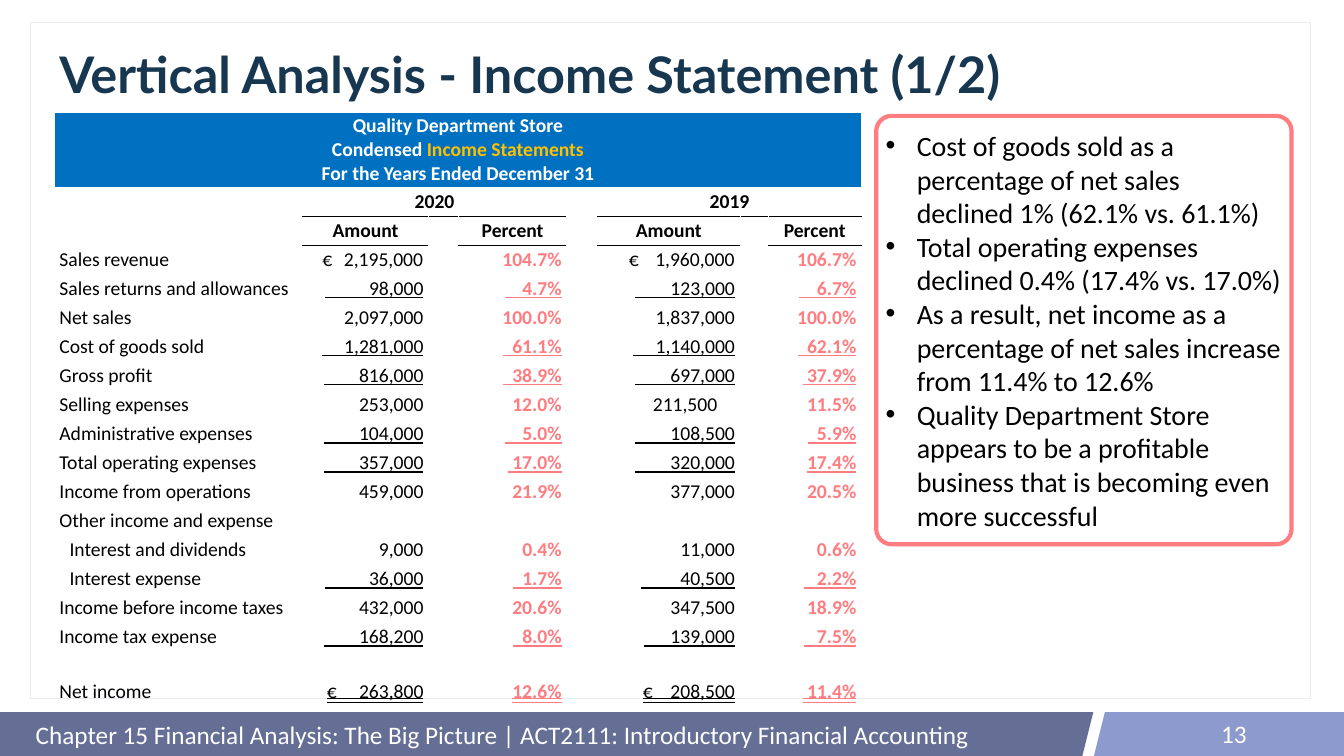
from pptx import Presentation
from pptx.dml.color import RGBColor
from pptx.enum.shapes import MSO_SHAPE
from pptx.enum.text import MSO_ANCHOR, MSO_AUTO_SIZE, MSO_UNDERLINE, PP_ALIGN
from pptx.oxml.ns import qn
from pptx.util import Cm, Pt
from lxml.etree import SubElement

INK = {"white": "FFFFFF", "black": "000000", "navy": "17364F", "blue": "0070C0",
       "gold": "FFC000", "coral": "FF7C80", "slate": "656E95", "lilac": "8D9ACE",
       "pale": "E8EBF5"}
LEFT, MID, RIGHT = PP_ALIGN.LEFT, PP_ALIGN.CENTER, PP_ALIGN.RIGHT
ONE, TWO = MSO_UNDERLINE.SINGLE_LINE, MSO_UNDERLINE.DOUBLE_LINE

# Label, 2020 amount and percent, 2019 amount and percent, underline.
# Leading spaces in underlined figures set the length of the rule.
ROWS = [
    ("Sales revenue", "€\t2,195,000", "104.7%", "€\t1,960,000", "106.7%", None),
    ("Sales returns and allowances", "          98,000", "    4.7%",
     "        123,000", "    6.7%", ONE),
    ("Net sales", "2,097,000", "100.0%", "1,837,000", "100.0%", None),
    ("Cost of goods sold", "     1,281,000", "  61.1%",
     "     1,140,000", "  62.1%", ONE),
    ("Gross profit", "        816,000", "  38.9%", "        697,000", " 37.9%", ONE),
    ("Selling expenses", "253,000", "12.0%", "211,500", "11.5%", None),
    ("Administrative expenses", "        104,000", "    5.0%",
     "        108,500", "  5.9%", ONE),
    ("Total operating expenses", "        357,000", " 17.0%",
     "        320,000", "17.4%", ONE),
    ("Income from operations", "459,000", "21.9%", "377,000", "20.5%", None),
    ("Other income and expense", "", "", "", "", None),
    ("Interest and dividends", "9,000", "0.4%", "11,000", "0.6%", None),
    ("Interest expense", "          36,000", "  1.7%", "         40,500", "   2.2%", ONE),
    ("Income before income taxes", "432,000", "20.6%", "347,500", "18.9%", None),
    ("Income tax expense", "        168,200", "  8.0%", "      139,000", "   7.5%", ONE),
    ("Net income", "€     263,800", "12.6%", "€    208,500", " 11.4%", TWO),
]
WIDTHS = [12.5, 6.35, 1.52, 5.44, 1.57, 7.16, 1.42, 4.7]
NOTES = [
    "Cost of goods sold as a percentage of net sales declined 1% (62.1% vs. 61.1%)",
    "Total operating expenses declined 0.4% (17.4% vs. 17.0%)",
    "As a result, net income as a percentage of net sales increase from 11.4% to 12.6%",
    "Quality Department Store appears to be a profitable business that is becoming "
    "even more successful",
]


def tint(name):
    return RGBColor.from_string(INK[name])


class Deck:
    font = "Calibri"

    def __init__(self, wide, high):
        self.prs = Presentation()
        self.prs.slide_width, self.prs.slide_height = Cm(wide), Cm(high)
        self.slide = self.prs.slides.add_slide(self.prs.slide_layouts[5])
        self.shapes = self.slide.shapes

    def run(self, para, text, size, color, bold=False, line=None, font=None):
        run = para.add_run()
        run.text = text
        face = run.font
        face.name, face.size, face.bold = font or self.font, Pt(size), bold
        face.color.rgb = tint(color)
        if line:
            face.underline = line

    def title(self, text, *box):
        shape = self.shapes.title
        self.shapes.element.append(shape.element)  # bring above the panel
        shape.left, shape.top, shape.width, shape.height = map(Cm, box)
        frame = shape.text_frame
        frame.auto_size = MSO_AUTO_SIZE.NONE
        frame.vertical_anchor = MSO_ANCHOR.MIDDLE
        para = frame.paragraphs[0]
        para.alignment, para.line_spacing = LEFT, 0.9
        self.run(para, text, 72, "navy", True, font="Lato")

    def shape(self, kind, box, fill, line=None, width=1):
        shape = self.shapes.add_shape(kind, *map(Cm, box))
        shape.shadow.inherit = False
        shape.fill.solid()
        shape.fill.fore_color.rgb = tint(fill)
        if line:
            shape.line.color.rgb = tint(line)
            shape.line.width = Pt(width)
        else:
            shape.line.fill.background()
        return shape

    def label(self, text, box, align=LEFT):
        frame = self.shapes.add_textbox(*map(Cm, box)).text_frame
        frame.word_wrap = True
        frame.vertical_anchor = MSO_ANCHOR.MIDDLE
        para = frame.paragraphs[0]
        para.alignment = align
        self.run(para, text, 36, "white")

    def notes(self, items, box):
        shape = self.shape(MSO_SHAPE.ROUNDED_RECTANGLE, box, "white", "coral", 6)
        shape.adjustments[0] = 0.037
        frame = shape.text_frame
        frame.word_wrap = True
        frame.vertical_anchor = MSO_ANCHOR.MIDDLE
        for i, text in enumerate(items):
            para = frame.add_paragraph() if i else frame.paragraphs[0]
            para.alignment = LEFT
            props = para._p.get_or_add_pPr()
            props.set("marL", str(Cm(1.57)))
            props.set("indent", str(-Cm(1.57)))
            SubElement(props, qn("a:buFont"), typeface="Arial")
            SubElement(props, qn("a:buChar"), char="•")
            self.run(para, text, 40, "black")

    def table(self, box, widths, heights):
        grid = self.shapes.add_table(len(heights), len(widths), *map(Cm, box)).table
        grid.first_row = grid.horz_banding = False
        for col, wide in zip(grid.columns, widths):
            col.width = Cm(wide)
        for row, high in zip(grid.rows, heights):
            row.height = Cm(high)
        for cell in grid.iter_cells():
            cell.fill.background()
        return grid

    def edges(self, cell, **colors):
        props = cell._tc.get_or_add_tcPr()
        for i, side in enumerate("LRTB"):
            line = SubElement(props, qn("a:ln" + side), w=str(Pt(1)))
            props.insert(i, line)
            fill = SubElement(line, qn("a:solidFill"))
            SubElement(fill, qn("a:srgbClr"), val=INK[colors.get(side, "white")])

    def cell(self, cell, text, align, color="black", bold=False, line=None):
        para = cell.text_frame.paragraphs[0]
        para.alignment = align
        self.run(para, text, 28, color, bold, line)
        return para


def statement(deck):
    heights = [2.34] + [0.89] * 15 + [2.74, 0.89]
    grid = deck.table((2.74, 5.66, 40.66, 29.59), WIDTHS, heights)

    # Borders: black rules under the years and the column heads
    for r in range(len(heights)):
        for c in range(len(WIDTHS)):
            year = c not in (0, 4)
            head = c in (1, 3, 5, 7)
            rules = {}
            if r == 1 and year or r == 2 and head:
                rules["B"] = "black"
            if r == 2 and year or r == 3 and head:
                rules["T"] = "black"
            deck.edges(grid.cell(r, c), **rules)

    # Heading band
    band = grid.cell(0, 0)
    band.merge(grid.cell(0, 7))
    band.fill.solid()
    band.fill.fore_color.rgb = tint("blue")
    band.margin_top = band.margin_bottom = Cm(0.08)
    deck.cell(band, "Quality Department Store", MID, "white", True)
    lines = [[("Condensed ", "white"), ("Income Statements", "gold")],
             [("For the Years Ended December 31", "white")]]
    for line in lines:
        para = band.text_frame.add_paragraph()
        para.alignment = MID
        for text, color in line:
            deck.run(para, text, 28, color, True)

    # Years and column heads
    for c, year in ((1, "2020"), (5, "2019")):
        grid.cell(1, c).merge(grid.cell(1, c + 2))
        deck.cell(grid.cell(1, c), year, MID, bold=True)
        deck.cell(grid.cell(2, c), "Amount", MID, bold=True)
        deck.cell(grid.cell(2, c + 2), "Percent", MID, bold=True)

    # Figures
    for r, (name, *vals, line) in enumerate(ROWS, 3):
        para = deck.cell(grid.cell(r, 0), name, LEFT)
        if name.startswith("Interest"):
            para._p.get_or_add_pPr().set("marL", str(Cm(0.51)))
        for c, text in zip((1, 3, 5, 7), vals):
            if not text:
                continue
            cell = grid.cell(r, c)
            rate = c in (3, 7)
            para = deck.cell(cell, text, RIGHT, "coral" if rate else "black", rate, line)
            if "\t" in text:  # currency sign left, amount at a right tab
                inset = 1.0 if c == 1 else 1.57
                cell.margin_left = Cm(inset)
                para.alignment = LEFT
                tabs = SubElement(para._p.get_or_add_pPr(), qn("a:tabLst"))
                stop = Cm(WIDTHS[c] - inset - 0.27)
                SubElement(tabs, qn("a:tab"), pos=str(stop), algn="r")
    grid.cell(8, 5).margin_right = Cm(1.14)


def main():
    deck = Deck(67.72, 38.1)

    # Footer bars and panel
    rect, slant = MSO_SHAPE.RECTANGLE, MSO_SHAPE.PARALLELOGRAM
    for kind, left, wide, fill in ((rect, 0, 50.67, "slate"), (slant, 44.17, 10.92, "slate"),
                                   (slant, 55.12, 10.92, "lilac"), (rect, 56.82, 10.9, "lilac")):
        deck.shape(kind, (left, 35.89, wide, 2.21), fill)
    panel = deck.shape(rect, (1.55, 1.12, 64.49, 34.06), "white", "pale")
    shade = panel.element.spPr.find(qn("a:solidFill"))[0]
    SubElement(shade, qn("a:alpha"), val="85000")

    # Title, table and comments
    deck.title("Vertical Analysis - Income Statement (1/2)", 2.74, 2.03, 61.95, 3.68)
    statement(deck)
    deck.notes(NOTES, (44.15, 5.84, 20.93, 21.59))

    # Footer text
    deck.label("Chapter 15 Financial Analysis: The Big Picture | "
               "ACT2111: Introductory Financial Accounting", (1.55, 35.94, 52.32, 2.16))
    deck.label("13", (47.83, 35.94, 15.24, 2.03), RIGHT)
    deck.prs.save("out.pptx")


if __name__ == "__main__":
    main()
